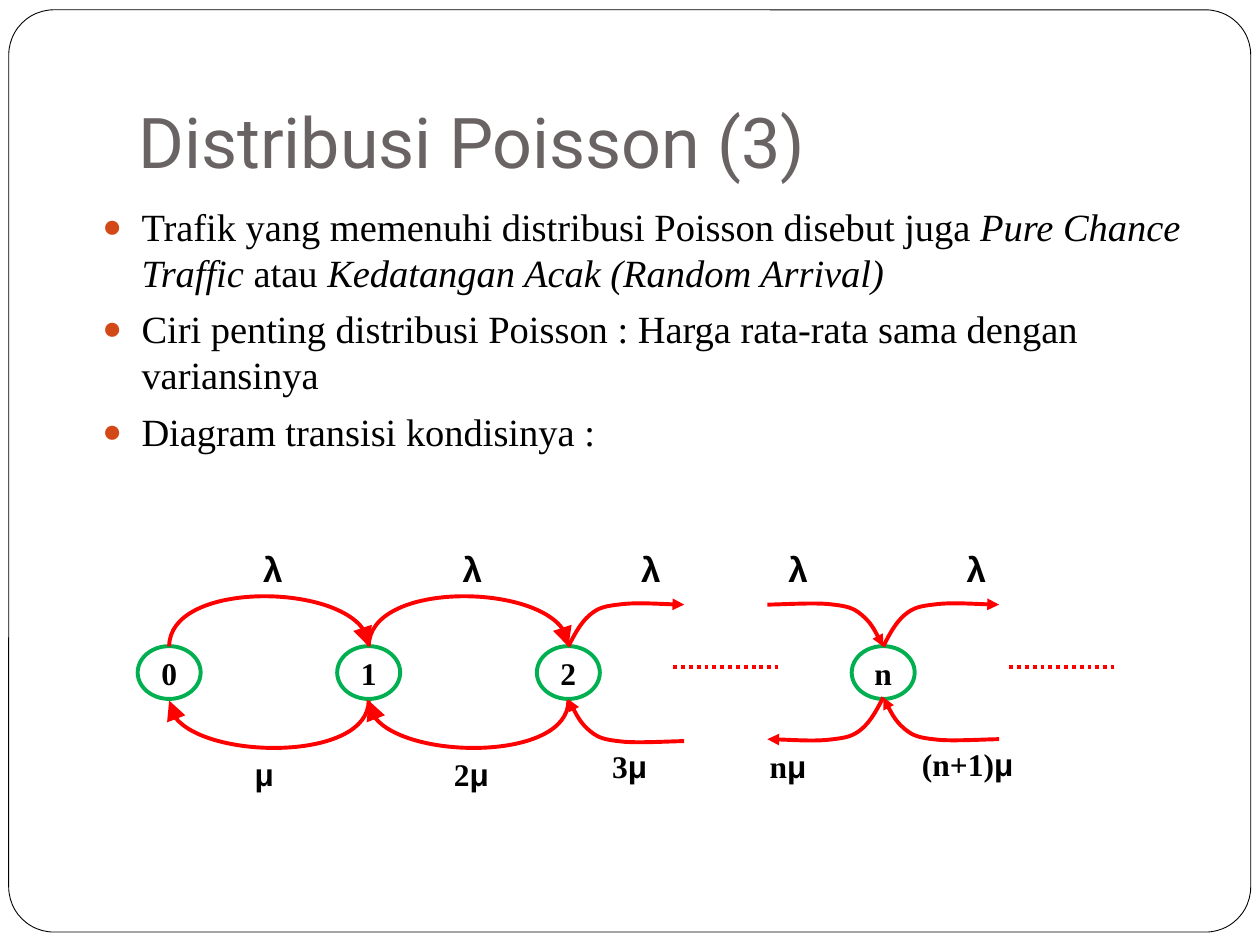
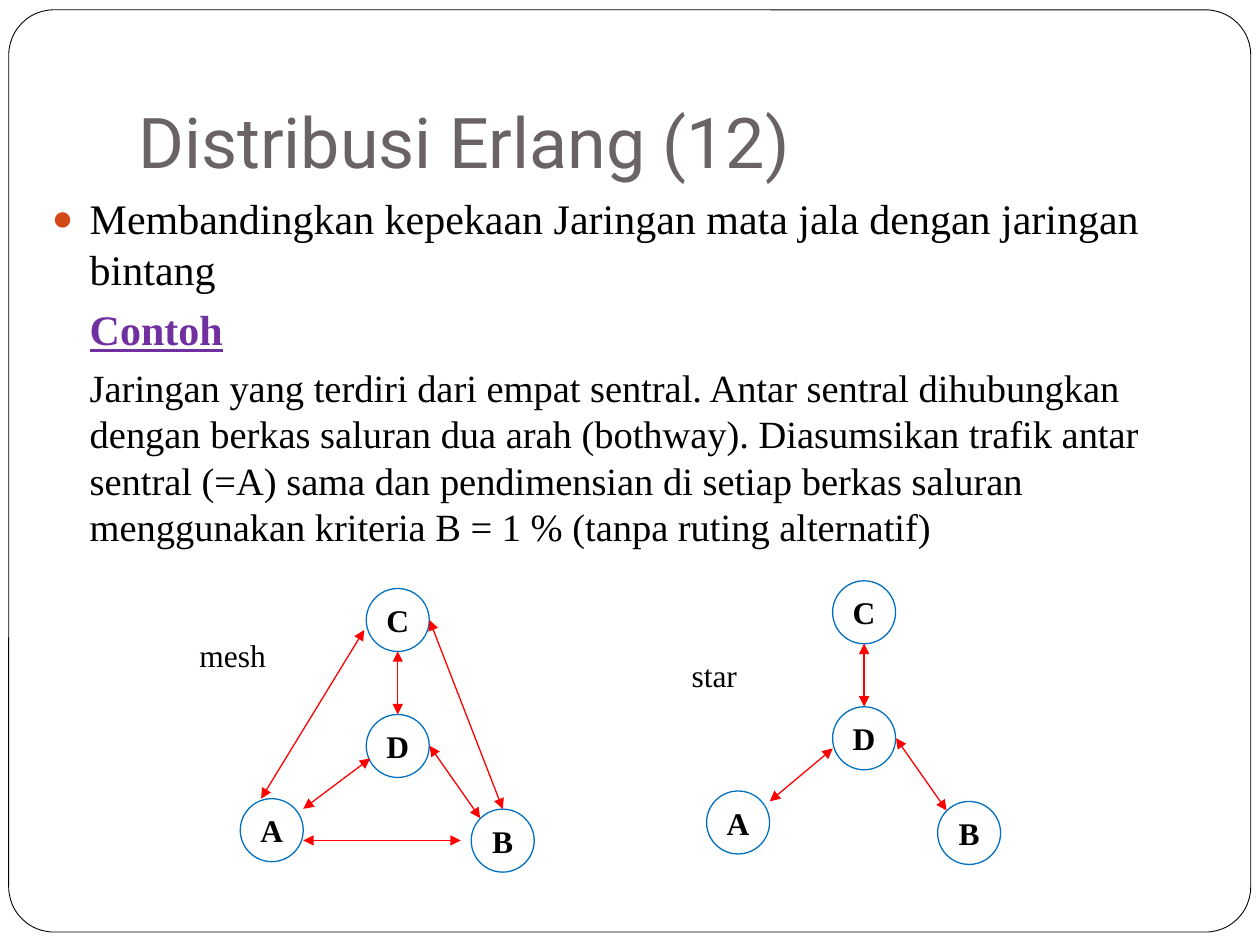
"""Build two slides on Poisson state transitions and Erlang network layouts."""
from lxml.etree import SubElement
from pptx import Presentation
from pptx.dml.color import RGBColor
from pptx.enum.dml import MSO_LINE
from pptx.enum.shapes import MSO_CONNECTOR, MSO_SHAPE
from pptx.enum.text import MSO_ANCHOR, MSO_AUTO_SIZE, PP_ALIGN
from pptx.oxml.ns import qn
from pptx.util import Pt

COLOURS = {
    "paper": "FFFFFF",
    "ink": "000000",
    "title": "6A6363",
    "bullet": "D34817",
    "heading": "7030A0",
    "state": "00B050",
    "exchange": "0070C0",
    "arrow": "FF0000",
}
SERIF, SANS, TITLE_FONT = "Times New Roman", "Arial", "Roboto"


def write(para, text, size, font=SERIF, colour="ink", style=""):
    """Add one run; style holds any of the letters b, i and u."""
    span = para.add_run()
    span.text = text
    span.font.name = font
    span.font.size = Pt(size)
    span.font.color.rgb = RGBColor.from_string(COLOURS[colour])
    span.font.bold = "b" in style
    span.font.italic = "i" in style
    span.font.underline = "u" in style


def stroke(shape, colour, width, heads=(), size="med", dash=None):
    """Set the outline and arrowheads of a shape and remove its shadow."""
    shape.line.color.rgb = RGBColor.from_string(COLOURS[colour])
    shape.line.width = Pt(width)
    if dash:
        shape.line.dash_style = dash
    outline = shape.line._get_or_add_ln()
    for end in heads:
        SubElement(outline, qn(f"a:{end}"), type="triangle", w=size, len=size)
    SubElement(shape._element.spPr, qn("a:effectLst"))


deck = Presentation()
deck.slide_width, deck.slide_height = Pt(720), Pt(540)

slides = [
    ("Distribusi Poisson (3)", (45, 112.3, 648, 155.5), 28.8, 22.3, [
        (True, [("Trafik yang memenuhi distribusi Poisson disebut juga ", 22, "ink", ""),
                ("Pure Chance Traffic", 22, "ink", "i"),
                (" atau ", 22, "ink", ""),
                ("Kedatangan Acak (Random Arrival)", 22, "ink", "i")]),
        (True, [("Ciri penting distribusi Poisson : Harga rata-rata sama dengan variansinya",
                 22, "ink", "")]),
        (True, [("Diagram transisi kondisinya :", 22, "ink", "")]),
    ]),
    ("Distribusi Erlang (12)", (22.6, 106.6, 680.4, 375.8), 21.6, 21.6, [
        (True, [("Membandingkan kepekaan Jaringan mata jala dengan jaringan bintang",
                 24, "ink", "")]),
        (False, [("Contoh", 24, "heading", "bu")]),
        (False, [("Jaringan yang terdiri dari empat sentral. Antar sentral dihubungkan "
                  "dengan berkas saluran dua arah (bothway). Diasumsikan trafik antar "
                  "sentral (=A) sama dan pendimensian di setiap berkas saluran "
                  "menggunakan kriteria B = 1 % (tanpa ruting alternatif)", 22, "ink", "")]),
    ]),
]

pages = []
for title, body_area, margin, hanging, paragraphs in slides:
    page = deck.slides.add_slide(deck.slide_layouts[6])
    pages.append(page)
    frame = page.shapes.add_shape(MSO_SHAPE.ROUNDED_RECTANGLE, Pt(5), Pt(5.6), Pt(709.7), Pt(527))
    frame.adjustments[0] = 0.049
    frame.fill.solid()
    frame.fill.fore_color.rgb = RGBColor.from_string(COLOURS["paper"])
    stroke(frame, "ink", 0.5)

    box = page.shapes.add_textbox(Pt(72), Pt(21.6), Pt(612), Pt(90))
    box.text_frame.word_wrap = True
    box.text_frame.vertical_anchor = MSO_ANCHOR.BOTTOM
    box.text_frame.margin_bottom = Pt(7.2)
    write(box.text_frame.paragraphs[0], title, 40, TITLE_FONT, "title")

    box = page.shapes.add_textbox(*map(Pt, body_area))
    box.text_frame.word_wrap = True
    for index, (bulleted, spans) in enumerate(paragraphs):
        para = box.text_frame.add_paragraph() if index else box.text_frame.paragraphs[0]
        settings = para._p.get_or_add_pPr()
        settings.set("marL", str(Pt(margin)))
        if bulleted:
            settings.set("indent", str(-Pt(hanging)))
            tint = SubElement(settings, qn("a:buClr"))
            SubElement(tint, qn("a:srgbClr"), val=COLOURS["bullet"])
            SubElement(settings, qn("a:buSzPct"), val="85000")
            SubElement(settings, qn("a:buFont"), typeface=SANS)
            SubElement(settings, qn("a:buChar"), char="●")
        if index:
            para.space_before = Pt(5.8)
        for text, size, colour, style in spans:
            write(para, text, size, colour=colour, style=style)

poisson, erlang = pages
star_shift = (266.5, -4.4)
state_centres = {"0": 96.7, "1": 210.7, "2": 324.8, "n": 504.7}
exchanges = {"D": (209.3, 408.3), "A": (137.3, 456.4), "B": (269.3, 462.4), "C": (209.3, 336.3)}

nodes = [(poisson, label, centre - 18, 369.2, 30.2, "state", 2.25)
         for label, centre in state_centres.items()]
for shift_x, shift_y in [(0, 0), star_shift]:
    nodes += [(erlang, label, left + shift_x, top + shift_y, 36, "exchange", 0.75)
              for label, (left, top) in exchanges.items()]

for page, label, left, top, height, colour, width in nodes:
    node = page.shapes.add_shape(MSO_SHAPE.OVAL, Pt(left), Pt(top), Pt(36), Pt(height))
    node.fill.background()
    stroke(node, colour, width)
    node.text_frame.word_wrap = False
    node.text_frame.vertical_anchor = MSO_ANCHOR.MIDDLE
    para = node.text_frame.paragraphs[0]
    para.alignment = PP_ALIGN.CENTER
    write(para, label, 18, style="b")

curves = []
for start, end in [("0", "1"), ("1", "2")]:
    left, right = state_centres[start], state_centres[end]
    for level, bend, head in [(369.4, -36.7, "tailEnd"), (400.3, 34.5, "headEnd")]:
        arc = [(left, level), (left, level + bend), (right, level + bend), (right, level)]
        curves.append((arc, head, "lg"))

flare = [(0, 0), (3.6, 7.2), (7.2, 13.7), (12.2, 18), (17.3, 22.3),
         (20.9, 23.1), (30.2, 24.1), (38.9, 25.2), (59.8, 23.9), (66.2, 23.9)]
for state, level, side, rise, head in [
    ("2", 369.4, 1, -1, "tailEnd"),
    ("2", 399.6, 1, 1, "headEnd"),
    ("n", 369.4, -1, -1, "headEnd"),
    ("n", 398.5, -1, 1, "tailEnd"),
    ("n", 369.4, 1, -1, "tailEnd"),
    ("n", 398.5, 1, 1, "headEnd"),
]:
    centre = state_centres[state]
    curves.append(([(centre + side * x, level + rise * y) for x, y in flare], head, "med"))

for controls, head, head_size in curves:
    start, *others = [tuple(map(Pt, point)) for point in controls]
    builder = poisson.shapes.build_freeform(*start)
    builder.add_line_segments(others, close=False)
    curve = builder.convert_to_shape()
    route = next(curve._element.iter(qn("a:path")))
    corners = route.findall(qn("a:lnTo"))
    for first in range(0, len(corners), 3):
        bezier = SubElement(route, qn("a:cubicBezTo"))
        for corner in corners[first:first + 3]:
            bezier.append(corner[0])
            route.remove(corner)
    curve.fill.background()
    stroke(curve, "arrow", 2.25, [head], head_size)

both_ends = ("headEnd", "tailEnd")
shared_links = [(227.3, 408.2, 227.3, 372.2), (245.5, 426.2, 274.4, 467.5)]
mesh_links = shared_links + [
    (173.3, 462.2, 211.6, 433.4),
    (149.2, 456.4, 208.1, 360),
    (173.3, 480.3, 263.3, 480.3),
    (245.4, 354.3, 287.3, 462.3),
]
star_links = [tuple(value + shift for value, shift in zip(link, star_shift * 2))
              for link in shared_links] + [(439.9, 457.9, 475.9, 427.7)]
lines = [(poisson, (left, 381.3, left + 60, 381.3), 2.25, (), MSO_LINE.ROUND_DOT)
         for left in (384.7, 576.7)]
lines += [(erlang, link, 0.75, both_ends, None) for link in mesh_links + star_links]

for page, ends, width, heads, dash in lines:
    line = page.shapes.add_connector(MSO_CONNECTOR.STRAIGHT, *map(Pt, ends))
    stroke(line, "arrow", width, heads, dash=dash)

labels = [(poisson, left, 309.6, 25.9, 31.7, 20, "b", [("λ", SANS)])
          for left in (143.3, 257.3, 359.3, 443.5, 545.3)]
for factor, left, top, width in [
    ("", 138.4, 427.7, 25.2),
    ("2", 252.3, 428, 35.3),
    ("3", 342.7, 423.4, 35.3),
    ("n", 432.7, 423.4, 36),
    ("(n+1)", 519.8, 422.2, 69.1),
]:
    spans = [(factor, SERIF)] if factor else []
    labels.append((poisson, left, top, width, 28.8, 18, "b", spans + [("μ", SANS)]))
labels += [
    (erlang, 106.9, 360, 61.2, 31, 18, "", [("mesh", SERIF)]),
    (erlang, 388.1, 371.5, 49, 31, 18, "", [("star", SERIF)]),
]

for page, left, top, width, height, size, style, spans in labels:
    box = page.shapes.add_textbox(Pt(left), Pt(top), Pt(width), Pt(height))
    box.text_frame.word_wrap = False
    box.text_frame.auto_size = MSO_AUTO_SIZE.SHAPE_TO_FIT_TEXT
    for text, font in spans:
        write(box.text_frame.paragraphs[0], text, size, font, style=style)

deck.save("out.pptx")
